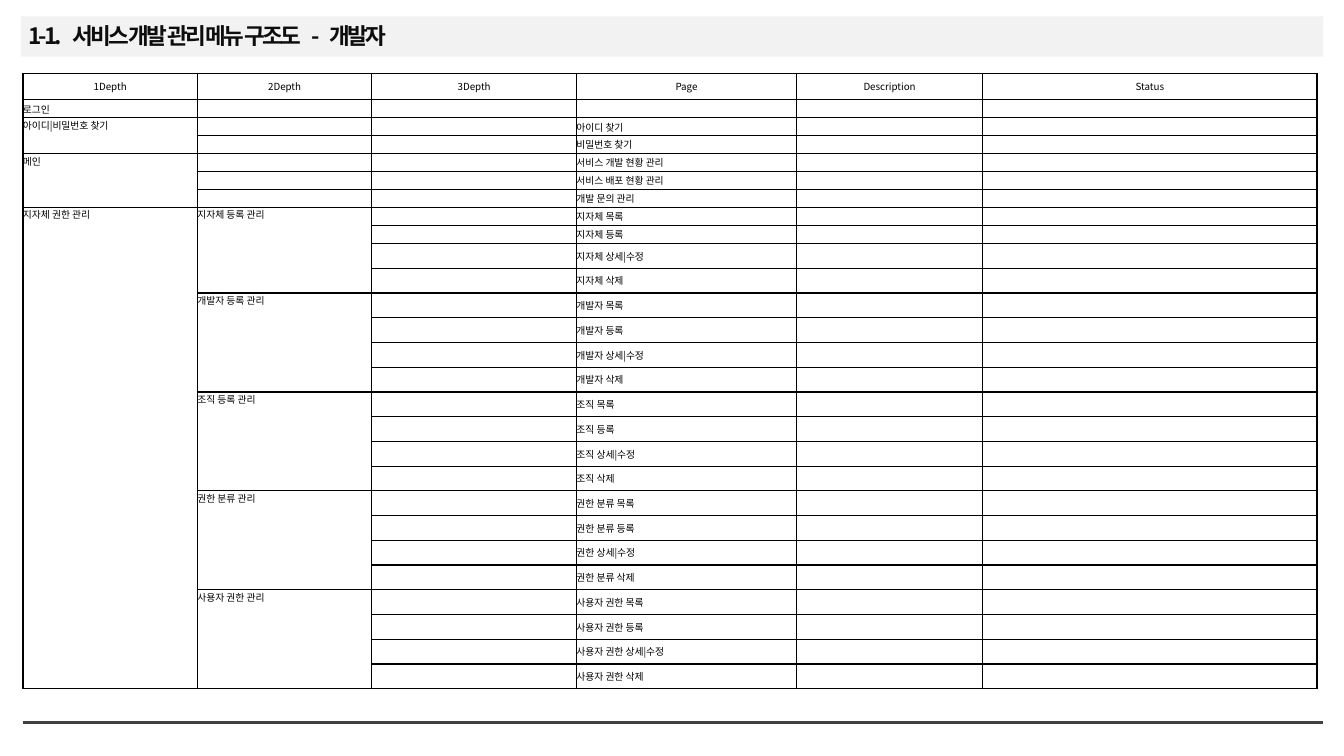
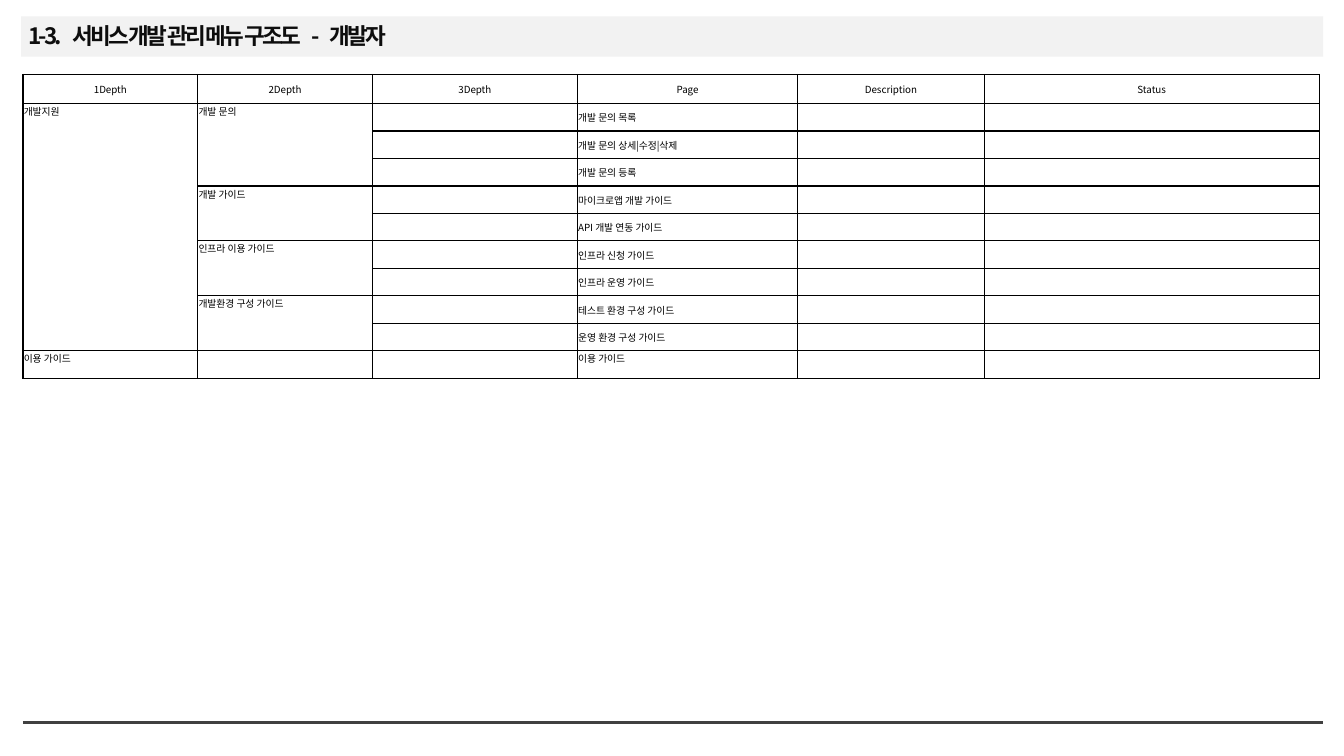
import pptx
import pptx.dml.color
import pptx.enum.shapes
import pptx.enum.text
import pptx.oxml
import pptx.oxml.ns
import pptx.util
from lxml import etree

Pt = pptx.util.Pt
ANCHOR = pptx.enum.text.MSO_ANCHOR
ALIGN = pptx.enum.text.PP_ALIGN
qn = pptx.oxml.ns.qn

HEADERS = ["1Depth", "2Depth", "3Depth", "Page", "Description", "Status"]
COLUMNS = [124.6, 124.6, 146.2, 157.2, 133, 238.9]
PAGE_COLUMN = HEADERS.index("Page")

# Menu trees: (depth 1, [(depth 2, [pages])]); a blank depth 2 is not merged
ACCOUNT_MENU = [
    ("로그인", [("", [""])]),
    ("아이디|비밀번호 찾기", [("", ["아이디 찾기", "비밀번호 찾기"])]),
    ("메인", [("", ["서비스 개발 현황 관리", "서비스 배포 현황 관리", "개발 문의 관리"])]),
    ("지자체 권한 관리", [
        ("지자체 등록 관리", ["지자체 목록", "지자체 등록", "지자체 상세|수정", "지자체 삭제"]),
        ("개발자 등록 관리", ["개발자 목록", "개발자 등록", "개발자 상세|수정", "개발자 삭제"]),
        ("조직 등록 관리", ["조직 목록", "조직 등록", "조직 상세|수정", "조직 삭제"]),
        ("권한 분류 관리", ["권한 분류 목록", "권한 분류 등록", "권한 상세|수정", "권한 분류 삭제"]),
        ("사용자 권한 관리", ["사용자 권한 목록", "사용자 권한 등록",
                       "사용자 권한 상세|수정", "사용자 권한 삭제"]),
    ]),
]
SUPPORT_MENU = [
    ("개발지원", [
        ("개발 문의", ["개발 문의 목록", "개발 문의 상세|수정|삭제", "개발 문의 등록"]),
        ("개발 가이드", ["마이크로앱 개발 가이드", "API 개발 연동 가이드"]),
        ("인프라 이용 가이드", ["인프라 신청 가이드", "인프라 운영 가이드"]),
        ("개발환경 구성 가이드", ["테스트 환경 구성 가이드", "운영 환경 구성 가이드"]),
    ]),
    ("이용 가이드", [("", ["이용 가이드"])]),
]


class Deck:
    FONT = "Noto Sans CJK KR"
    COLORS = {"band": "F2F2F2", "rule": "404040", "title": "0D0D0D", "text": "000000"}

    def __init__(self):
        self.prs = pptx.Presentation()
        self.prs.slide_width, self.prs.slide_height = Pt(960), Pt(540)
        self.s = None

    def color(self, name):
        return pptx.dml.color.RGBColor.from_string(self.COLORS[name])

    def style(self, p, size, color, bold=False):
        f = p.font
        f.size, f.bold, f.name = Pt(size), bold, self.FONT
        f.color.rgb = self.color(color)
        # Hangul takes the East Asian font
        etree.SubElement(f._element, qn("a:ea"), typeface=self.FONT)

    def slide(self, number):
        self.s = self.prs.slides.add_slide(self.prs.slide_layouts[6])
        self.band()
        self.rule()
        self.title([number, "서비스 개발 관리 메뉴 구조도", "-", "개발자"])

    def band(self):
        sp = self.s.shapes.add_shape(pptx.enum.shapes.MSO_SHAPE.RECTANGLE,
                                     Pt(15.1), Pt(11.8), Pt(930), Pt(28.8))
        sp.shadow.inherit = False
        sp.fill.solid()
        sp.fill.fore_color.rgb = self.color("band")
        sp.line.fill.background()

    def rule(self):
        ln = self.s.shapes.add_connector(pptx.enum.shapes.MSO_CONNECTOR.STRAIGHT,
                                         Pt(16.4), Pt(516), Pt(945.1), Pt(516))
        ln.line.width = Pt(2.25)
        ln.line.color.rgb = self.color("rule")
        etree.SubElement(ln._element.spPr, qn("a:effectLst"))

    def title(self, parts):
        """Tightly spaced parts, set apart by widely spaced gaps."""
        sp = self.s.shapes.add_textbox(Pt(16.4), Pt(12.6), Pt(683), Pt(27.4))
        tf = sp.text_frame
        tf.word_wrap = True
        tf.vertical_anchor = ANCHOR.MIDDLE
        tf.margin_left = tf.margin_top = tf.margin_right = tf.margin_bottom = Pt(3.6)
        p = tf.paragraphs[0]
        p.line_spacing = 0.9
        self.style(p, 16.1, "title", bold=True)
        for i, part in enumerate(parts):
            for text, spacing in ((" ", 350), (part, -190))[i == 0:]:
                r = p.add_run()
                r.text = text
                r.font._element.set("spc", str(spacing))

    def cell(self, cell, text, inset, anchor, align=ALIGN.LEFT):
        cell.margin_left = cell.margin_top = cell.margin_right = Pt(inset)
        cell.margin_bottom = 0
        cell.vertical_anchor = anchor
        p = cell.text_frame.paragraphs[0]
        p.alignment = align
        self.style(p, 7, "text")
        if text:
            p.add_run().text = text
        else:
            # Keeps an empty cell from growing
            etree.SubElement(p._p, qn("a:endParaRPr"), sz="700")
        # Borders come before the fill
        tcPr = cell._tc.get_or_add_tcPr()
        for side in ("lnL", "lnR", "lnT", "lnB"):
            ln = etree.SubElement(tcPr, qn("a:" + side), w=str(Pt(1)))
            fill = etree.SubElement(ln, qn("a:solidFill"))
            etree.SubElement(fill, qn("a:srgbClr"), val=self.COLORS["text"])
        cell.fill.background()

    def menu_table(self, menu, top, heights, inset, single_anchor, scale=1):
        """Menu tree as a table; single_anchor places text in one-row groups."""
        widths = [w * scale for w in COLUMNS]
        tbl = self.s.shapes.add_table(len(heights), len(widths), Pt(16.4), Pt(top),
                                      Pt(sum(widths)), Pt(sum(heights))).table
        tbl.first_row = tbl.horz_banding = False
        for col, w in zip(tbl.columns, widths):
            col.width = Pt(w)
        for row, h in zip(tbl.rows, heights):
            row.height = Pt(h)

        # Place the tree: texts, anchors and merged runs of rows
        texts, anchors, merges = {}, {}, []
        row = 1
        for depth1, groups in menu:
            first = row
            for depth2, pages in groups:
                texts[row, 1] = depth2
                if depth2:
                    merges.append((row, 1, len(pages)))
                for page in pages:
                    texts[row, PAGE_COLUMN] = page
                    row += 1
            texts[first, 0] = depth1
            merges.append((first, 0, row - first))
            if row - first == 1:
                anchors[first, 0] = anchors[first, PAGE_COLUMN] = single_anchor

        for c, header in enumerate(HEADERS):
            self.cell(tbl.cell(0, c), header, inset, ANCHOR.MIDDLE, ALIGN.CENTER)
            for r in range(1, len(heights)):
                default = ANCHOR.TOP if c < 2 else ANCHOR.MIDDLE
                self.cell(tbl.cell(r, c), texts.get((r, c), ""), inset,
                          anchors.get((r, c), default))
        for r, c, count in merges:
            if count > 1:
                tbl.cell(r, c).merge(tbl.cell(r + count - 1, c))


def main():
    deck = Deck()

    # Accounts and permissions
    deck.slide("1-1.")
    deck.menu_table(ACCOUNT_MENU, 52.4, [18.9] + [12.85] * 8 + [17.67] * 18,
                    0, ANCHOR.MIDDLE)

    # Developer support
    deck.slide("1-3.")
    deck.menu_table(SUPPORT_MENU, 53.2, [20.8] + [19.64] * 10,
                    0.6, ANCHOR.TOP, scale=12.86 / 12.84)

    deck.prs.save("out.pptx")


if __name__ == "__main__":
    main()
